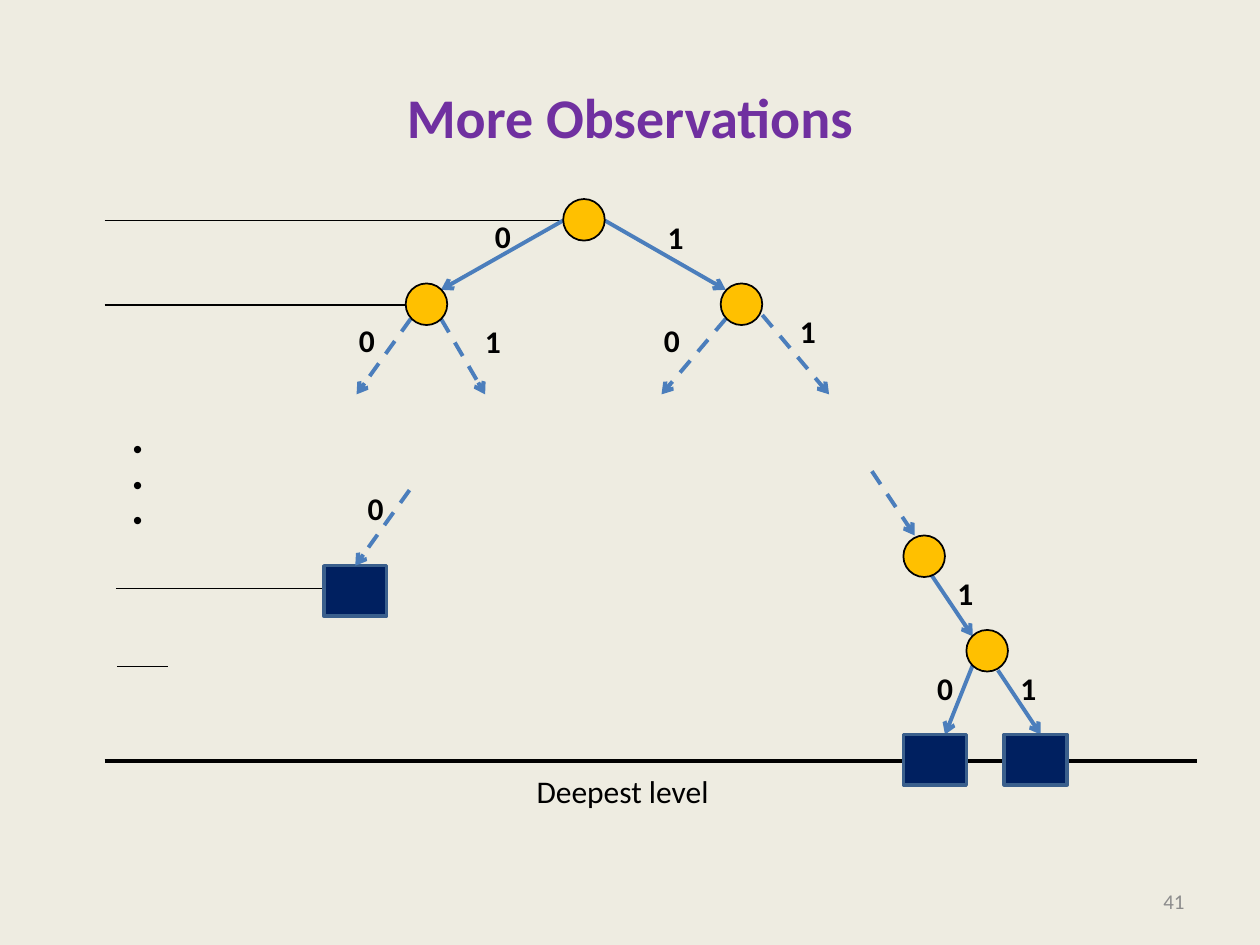
from typing import NamedTuple

from lxml.etree import SubElement
from pptx import Presentation
from pptx.dml.color import RGBColor
from pptx.enum.dml import MSO_LINE
from pptx.enum.shapes import MSO_CONNECTOR, MSO_SHAPE
from pptx.enum.text import MSO_ANCHOR, MSO_AUTO_SIZE, PP_ALIGN
from pptx.oxml.ns import qn
from pptx.util import Inches, Pt

CREAM = RGBColor(0xEE, 0xEC, 0xE1)
PURPLE = RGBColor(0x70, 0x30, 0xA0)
BLACK = RGBColor(0, 0, 0)
GRAY = RGBColor(0x8C, 0x8C, 0x8C)
BLUE = RGBColor(0x4B, 0x7E, 0xBC)
GOLD = RGBColor(0xFF, 0xC0, 0x00)
NAVY = RGBColor(0x00, 0x20, 0x60)
STEEL = RGBColor(0x3A, 0x5F, 0x8C)

FONT = "Calibri"
NODE_SIZE = 0.33
LEAF_WIDTH, LEAF_HEIGHT = 0.5, 0.4
LABEL_WIDTH, LABEL_HEIGHT = 0.33, 0.4


class Edge(NamedTuple):
    x1: float
    y1: float
    x2: float
    y2: float
    dashed: bool = False


class Level(NamedTuple):
    x1: float
    x2: float
    y: float


class Point(NamedTuple):
    x: float
    y: float


class Label(NamedTuple):
    text: str
    x: float
    y: float


DEEPEST_LEVEL = Level(0.83, 9.5, 6.04)
LEVELS = [
    Level(0.83, 4.47, 1.75),
    Level(0.83, 3.22, 2.42),
    Level(0.92, 2.65, 4.67),
    Level(0.93, 1.33, 5.29),
]
EDGES = [
    Edge(4.47, 1.75, 3.5, 2.3),
    Edge(4.8, 1.75, 5.76, 2.3),
    Edge(3.26, 2.53, 2.83, 3.13, dashed=True),
    Edge(3.5, 2.53, 3.85, 3.13, dashed=True),
    Edge(5.76, 2.53, 5.25, 3.13, dashed=True),
    Edge(6.05, 2.5, 6.58, 3.13, dashed=True),
    Edge(6.92, 3.74, 7.26, 4.25, dashed=True),
    Edge(7.37, 4.53, 7.72, 5.05),
    Edge(7.72, 5.28, 7.5, 5.83),
    Edge(7.92, 5.32, 8.26, 5.83),
]
SHALLOW_LEAF_EDGE = Edge(3.25, 3.89, 2.82, 4.49, dashed=True)
NODES = [Point(4.47, 1.58), Point(3.22, 2.25), Point(5.72, 2.25),
         Point(7.17, 4.25), Point(7.67, 5)]
SHALLOW_LEAF = Point(2.57, 4.49)
DEEPEST_LEAVES = [Point(7.17, 5.83), Point(7.97, 5.83)]
BIT_LABELS = [
    Label("0", 3.83, 1.67), Label("1", 5.2, 1.68),
    Label("0", 2.75, 2.5), Label("1", 3.75, 2.51),
    Label("0", 5.17, 2.5), Label("1", 6.25, 2.43),
    Label("0", 2.82, 3.83), Label("1", 7.5, 4.51),
    Label("0", 7.34, 5.26), Label("1", 8, 5.26),
]


def add_line(page, x1: float, y1: float, x2: float, y2: float,
             color: RGBColor, width: float):
    line = page.shapes.add_connector(
        MSO_CONNECTOR.STRAIGHT, Inches(x1), Inches(y1), Inches(x2), Inches(y2))
    line.line.color.rgb = color
    line.line.width = Pt(width)
    SubElement(line.element.spPr, qn("a:effectLst"))
    return line


def add_level(page, level: Level, width: float = 0.75):
    return add_line(page, level.x1, level.y, level.x2, level.y, BLACK, width)


def add_edge(page, edge: Edge):
    arrow = add_line(page, edge.x1, edge.y1, edge.x2, edge.y2, BLUE, 2.25)
    if edge.dashed:
        arrow.line.dash_style = MSO_LINE.DASH
    SubElement(arrow.line._get_or_add_ln(), qn("a:tailEnd"), type="arrow")
    return arrow


def add_solid(page, kind: MSO_SHAPE, corner: Point, width: float, height: float,
              fill: RGBColor, outline: RGBColor, outline_width: float):
    shape = page.shapes.add_shape(
        kind, Inches(corner.x), Inches(corner.y), Inches(width), Inches(height))
    shape.shadow.inherit = False
    shape.fill.solid()
    shape.fill.fore_color.rgb = fill
    shape.line.color.rgb = outline
    shape.line.width = Pt(outline_width)
    return shape


def add_node(page, corner: Point):
    return add_solid(page, MSO_SHAPE.OVAL, corner, NODE_SIZE, NODE_SIZE, GOLD, BLACK, 1)


def add_leaf(page, corner: Point):
    return add_solid(page, MSO_SHAPE.RECTANGLE, corner, LEAF_WIDTH, LEAF_HEIGHT,
                     NAVY, STEEL, 2)


def write(frame, text: str, *, size: float = 18, color: RGBColor = BLACK,
          bold: bool = False, align=None, spacing: float = 0) -> None:
    """Fill a text frame with one formatted line; spacing is in points."""
    para = frame.paragraphs[0]
    if align is not None:
        para.alignment = align
    span = para.add_run()
    span.text = text
    span.font.name = FONT
    span.font.size = Pt(size)
    span.font.bold = bold
    span.font.color.rgb = color
    if spacing:
        span.font._element.set("spc", str(round(spacing * 100)))


def add_text(page, text: str, x: float, y: float, width: float, height: float,
             **style):
    box = page.shapes.add_textbox(Inches(x), Inches(y), Inches(width), Inches(height))
    box.text_frame.word_wrap = False
    box.text_frame.auto_size = MSO_AUTO_SIZE.SHAPE_TO_FIT_TEXT
    write(box.text_frame, text, **style)
    return box


def main() -> None:
    deck = Presentation()
    deck.slide_width, deck.slide_height = Inches(10), Inches(7.5)
    page = deck.slides.add_slide(deck.slide_layouts[5])
    page.background.fill.solid()
    page.background.fill.fore_color.rgb = CREAM

    title = page.shapes.title
    title.left, title.top = Inches(0.5), Inches(0.3)
    title.width, title.height = Inches(9), Inches(1.25)
    title.text_frame.vertical_anchor = MSO_ANCHOR.MIDDLE
    write(title.text_frame, "More Observations", size=32, color=PURPLE, bold=True,
          align=PP_ALIGN.CENTER)

    add_level(page, DEEPEST_LEVEL, width=2.25)
    for level in LEVELS:
        add_level(page, level)
    for edge in EDGES:
        add_edge(page, edge)
    for corner in NODES:
        add_node(page, corner)
    for corner in DEEPEST_LEAVES:
        add_leaf(page, corner)
    shallow_leaf = add_leaf(page, SHALLOW_LEAF)
    add_edge(page, SHALLOW_LEAF_EDGE).end_connect(shallow_leaf, 0)

    for label in BIT_LABELS:
        add_text(page, label.text, label.x, label.y, LABEL_WIDTH, LABEL_HEIGHT, bold=True)
    add_text(page, "Deepest level", 4.16, 6.08, 1.59, 0.4)
    dots = add_text(page, ". . .", 0.78, 3.58, 0.88, 0.57, size=28, bold=True, spacing=3.2)
    dots.rotation = 90

    number = add_text(page, "41", 7.17, 6.95, 2.33, 0.4, size=12, color=GRAY,
                      align=PP_ALIGN.RIGHT)
    number.text_frame.word_wrap = True
    number.text_frame.auto_size = MSO_AUTO_SIZE.NONE
    number.text_frame.vertical_anchor = MSO_ANCHOR.MIDDLE

    deck.save("out.pptx")


if __name__ == "__main__":
    main()
